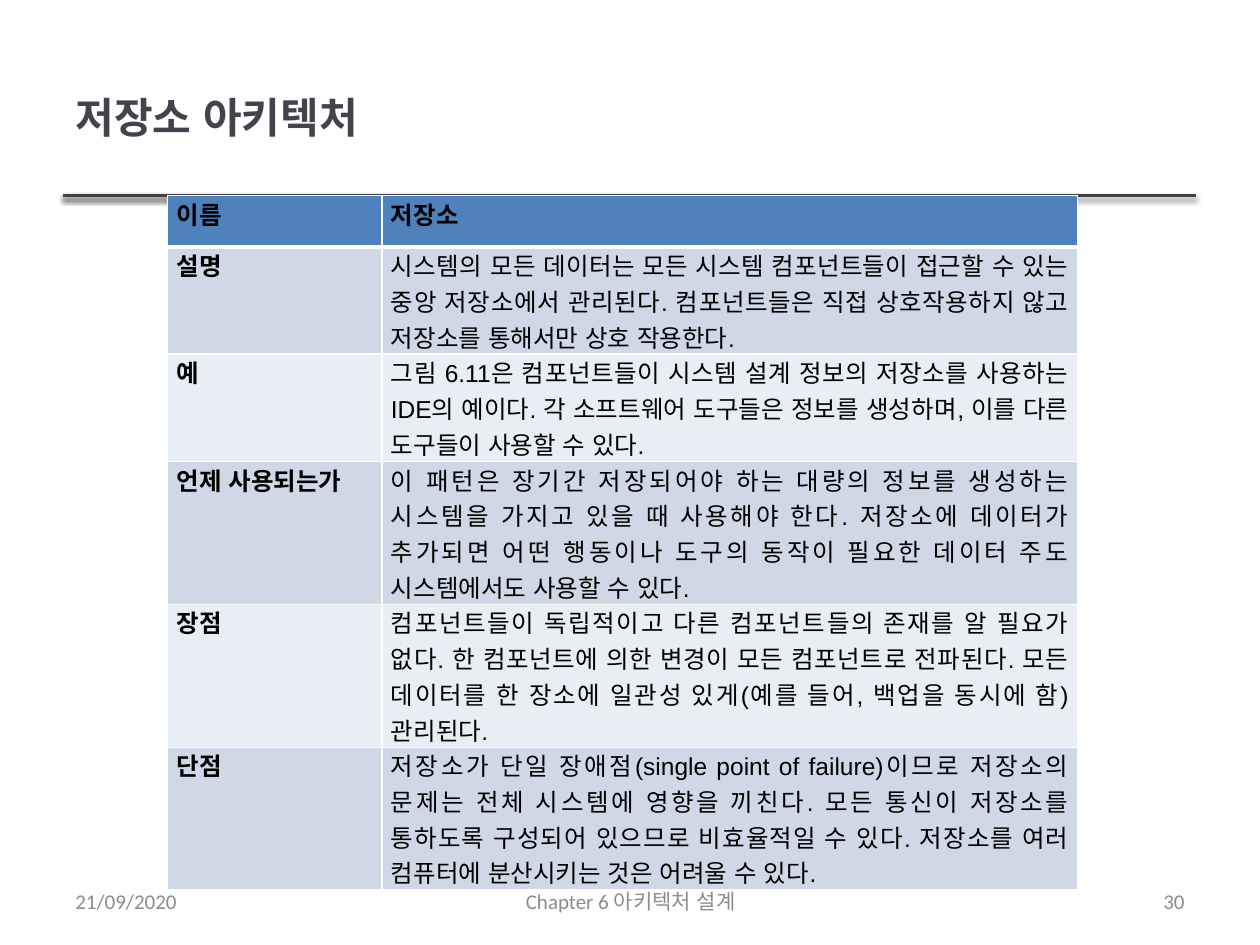
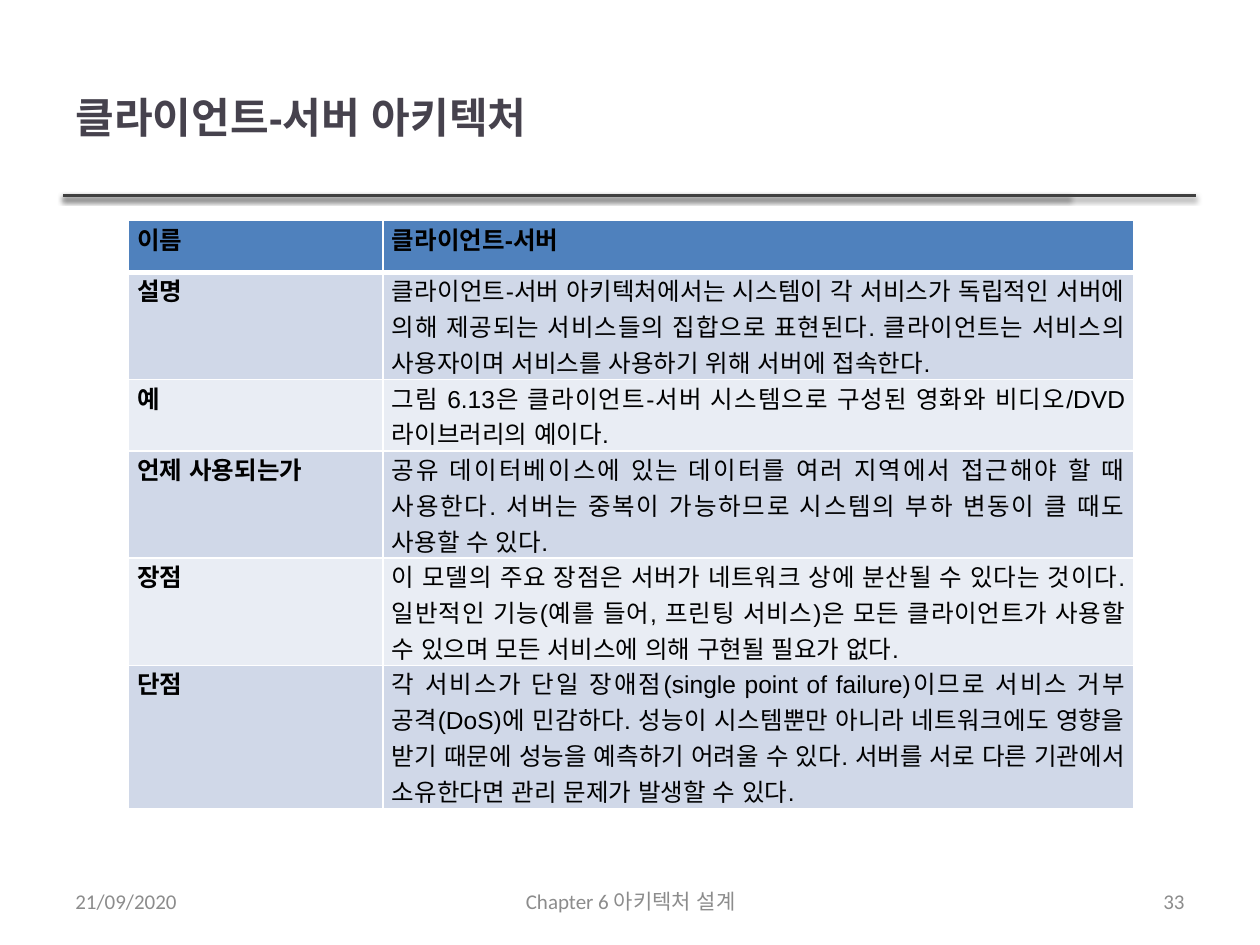
"""Build two slides that describe architecture patterns in tables."""
from pptx import Presentation
from pptx.dml.color import RGBColor
from pptx.enum import lang, shapes, text
from pptx.oxml import parse_xml
from pptx.oxml.ns import nsdecls
from pptx.util import Cm, Pt

INK = RGBColor(0x46, 0x42, 0x4D)
BLACK = RGBColor(0, 0, 0)
RULE = RGBColor(0x40, 0x40, 0x40)
GREY = RGBColor(0x8C, 0x8C, 0x8C)
WHITE = RGBColor(0xFF, 0xFF, 0xFF)
HEAD = RGBColor(0x4F, 0x81, 0xBD)
BANDS = RGBColor(0xE9, 0xED, 0xF4), RGBColor(0xD0, 0xD8, 0xE8)

TITLE = {"name": "Arial", "size": Pt(24), "bold": True}
BODY = {"name": "Arial", "size": Pt(14), "bold": False}
LABEL = {**BODY, "bold": True}
FOOT = {"name": "Calibri", "size": Pt(12)}
LEFT, CENTER = text.PP_ALIGN.LEFT, text.PP_ALIGN.CENTER
RIGHT, JUST = text.PP_ALIGN.RIGHT, text.PP_ALIGN.JUSTIFY

SHADOW = (
    f'<a:effectLst {nsdecls("a")}><a:outerShdw blurRad="39400" dist="20300" dir="5400000" rotWithShape="0">'
    '<a:srgbClr val="000000"><a:alpha val="38000"/></a:srgbClr></a:outerShdw></a:effectLst>'
)
NAMES = "이름", "설명", "예", "언제 사용되는가", "장점", "단점"

PAGES = [
    {
        "title": "저장소 아키텍처",
        "page": "30",
        "spot": (3.38, 3.94),
        "cols": (4.32, 14.02),
        "facts": (
            "저장소",
            "시스템의 모든 데이터는 모든 시스템 컴포넌트들이 접근할 수 있는 중앙 저장소에서 관리된다. "
            "컴포넌트들은 직접 상호작용하지 않고 저장소를 통해서만 상호 작용한다.",
            "그림 6.11은 컴포넌트들이 시스템 설계 정보의 저장소를 사용하는 IDE의 예이다. "
            "각 소프트웨어 도구들은 정보를 생성하며, 이를 다른 도구들이 사용할 수 있다.",
            "이 패턴은 장기간 저장되어야 하는 대량의 정보를 생성하는 시스템을 가지고 있을 때 사용해야 한다. "
            "저장소에 데이터가 추가되면 어떤 행동이나 도구의 동작이 필요한 데이터 주도 시스템에서도 사용할 수 있다.",
            "컴포넌트들이 독립적이고 다른 컴포넌트들의 존재를 알 필요가 없다. "
            "한 컴포넌트에 의한 변경이 모든 컴포넌트로 전파된다. "
            "모든 데이터를 한 장소에 일관성 있게(예를 들어, 백업을 동시에 함) 관리된다.",
            "저장소가 단일 장애점(single point of failure)이므로 저장소의 문제는 전체 시스템에 영향을 끼친다. "
            "모든 통신이 저장소를 통하도록 구성되어 있으므로 비효율적일 수 있다. "
            "저장소를 여러 컴퓨터에 분산시키는 것은 어려울 수 있다.",
        ),
    },
    {
        "title": "클라이언트-서버 아키텍처",
        "page": "33",
        "spot": (2.59, 4.45),
        "cols": (5.13, 15.14),
        "facts": (
            "클라이언트-서버",
            "클라이언트-서버 아키텍처에서는 시스템이 각 서비스가 독립적인 서버에 의해 제공되는 서비스들의 "
            "집합으로 표현된다. 클라이언트는 서비스의 사용자이며 서비스를 사용하기 위해 서버에 접속한다.",
            "그림 6.13은 클라이언트-서버 시스템으로 구성된 영화와 비디오/DVD 라이브러리의 예이다.",
            "공유 데이터베이스에 있는 데이터를 여러 지역에서 접근해야 할 때 사용한다. "
            "서버는 중복이 가능하므로 시스템의 부하 변동이 클 때도 사용할 수 있다.",
            "이 모델의 주요 장점은 서버가 네트워크 상에 분산될 수 있다는 것이다. "
            "일반적인 기능(예를 들어, 프린팅 서비스)은 모든 클라이언트가 사용할 수 있으며 "
            "모든 서비스에 의해 구현될 필요가 없다.",
            "각 서비스가 단일 장애점(single point of failure)이므로 서비스 거부 공격(DoS)에 민감하다. "
            "성능이 시스템뿐만 아니라 네트워크에도 영향을 받기 때문에 성능을 예측하기 어려울 수 있다. "
            "서버를 서로 다른 기관에서 소유한다면 관리 문제가 발생할 수 있다.",
        ),
    },
]


class Deck:
    def __init__(self):
        self.prs = Presentation()
        self.prs.slide_width, self.prs.slide_height = Cm(25.4), Cm(19.05)
        self.slide = None

    def start(self):
        self.slide = self.prs.slides.add_slide(self.prs.slide_layouts[5])

    def put(self, frame, words, style, color, align):
        frame.word_wrap = True
        para = frame.paragraphs[0]
        para.alignment = align
        run = para.add_run()
        run.text = words
        for key, val in style.items():
            setattr(run.font, key, val)
        run.font.color.rgb = color
        run.font.language_id = lang.MSO_LANGUAGE_ID.KOREAN

    def title(self, words):
        shape = self.slide.shapes.title
        for key, val in {"left": 1.27, "top": 0.76, "width": 20.27, "height": 3.18}.items():
            setattr(shape, key, Cm(val))
        frame = shape.text_frame
        frame.auto_size = text.MSO_AUTO_SIZE.NONE
        frame.vertical_anchor = text.MSO_ANCHOR.MIDDLE
        self.put(frame, words, TITLE, INK, LEFT)

    def rule(self, end):
        line = self.slide.shapes.add_connector(
            shapes.MSO_CONNECTOR.STRAIGHT, Cm(1.27), Cm(3.94), Cm(end), Cm(3.94))
        line.line.color.rgb = RULE
        line.line.width = Pt(2)
        line._element.spPr.append(parse_xml(SHADOW))

    def foot(self, left, width, words, align):
        box = self.slide.shapes.add_textbox(Cm(left), Cm(17.65), Cm(width), Cm(1.02))
        box.text_frame.vertical_anchor = text.MSO_ANCHOR.MIDDLE
        self.put(box.text_frame, words, FOOT, GREY, align)

    def edge(self, cell, side, width):
        props = cell._tc.get_or_add_tcPr()
        props.append(parse_xml(
            f'<a:ln{side} {nsdecls("a")} w="{Pt(width)}"><a:solidFill>'
            f'<a:srgbClr val="{WHITE}"/></a:solidFill></a:ln{side}>'))

    def cell(self, cell, words, style, fill, base):
        for side in "LRT":
            self.edge(cell, side, 1)
        self.edge(cell, "B", base)
        cell.fill.solid()
        cell.fill.fore_color.rgb = fill
        for key, val in {"left": 0.18, "right": 0.18, "top": 0, "bottom": 0}.items():
            setattr(cell, f"margin_{key}", Cm(val))
        self.put(cell.text_frame, words, style, BLACK, JUST)

    def table(self, spot, cols, facts):
        left, top = spot
        high = 1.04
        grid = self.slide.shapes.add_table(
            len(facts), len(cols), Cm(left), Cm(top), Cm(sum(cols)), Cm(high * len(facts))).table
        for col, width in zip(grid.columns, cols):
            col.width = Cm(width)
        for row, pair in enumerate(zip(NAMES, facts)):
            grid.rows[row].height = Cm(high)
            fill = BANDS[row % 2] if row else HEAD
            for col, words in enumerate(pair):
                style = BODY if row and col else LABEL
                base = 1 if row else 3
                self.cell(grid.cell(row, col), words, style, fill, base)


def main():
    deck = Deck()
    for page in PAGES:
        deck.start()
        for end in (21.56, 24.1):
            deck.rule(end)
        deck.title(page["title"])
        deck.table(page["spot"], page["cols"], page["facts"])
        deck.foot(8.69, 8.05, "Chapter 6 아키텍처 설계", CENTER)
        deck.foot(18.21, 5.92, page["page"], RIGHT)
        deck.foot(1.27, 5.92, "21/09/2020", LEFT)
    deck.prs.save("out.pptx")


if __name__ == "__main__":
    main()
